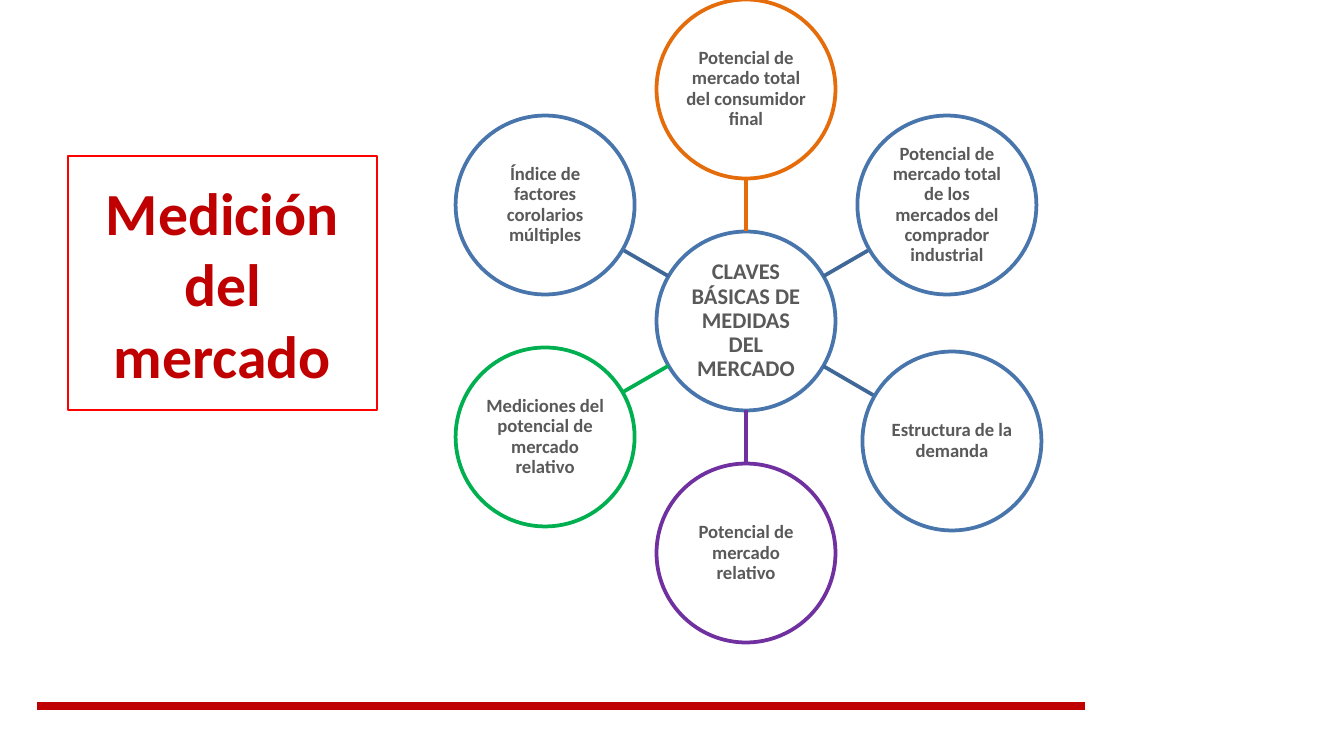
import math
from dataclasses import dataclass

from lxml import etree
from pptx import Presentation
from pptx import util as u
from pptx.dml import color
from pptx.enum import shapes, text
from pptx.oxml import ns

EMU_PER_PX = 914400 / 134.4
SLIDE_WIDTH, SLIDE_HEIGHT = 1344, 756
HUB_X, HUB_Y = 746, 321
DIAMETER = 179
RING_RADIUS = 232


@dataclass(frozen=True)
class Theme:
    font: str = "Calibri"
    ink: str = "595959"
    red: str = "C00000"
    frame: str = "FF0000"
    paper: str = "FFFFFF"
    blue: str = "4875AC"
    spoke_blue: str = "3F6797"
    orange: str = "E46C0A"
    purple: str = "7030A0"
    green: str = "00B050"
    title_size: int = 32
    hub_size: int = 12
    node_size: int = 10


def px(length):
    return u.Emu(round(length * EMU_PER_PX))


def rgb(value):
    return color.RGBColor.from_string(value)


class SlideBuilder:
    def __init__(self, slide, theme):
        self.slide = slide
        self.theme = theme

    def label(self, shape, wording, size, ink):
        frame = shape.text_frame
        frame.text = wording
        frame.word_wrap = True
        frame.auto_size = text.MSO_AUTO_SIZE.NONE
        frame.vertical_anchor = text.MSO_ANCHOR.MIDDLE
        paragraph = frame.paragraphs[0]
        paragraph.alignment = text.PP_ALIGN.CENTER
        font = paragraph.runs[0].font
        font.name, font.size, font.bold = self.theme.font, u.Pt(size), True
        font.color.rgb = rgb(ink)

    def outline(self, shape, colour, width):
        shape.line.color.rgb = rgb(colour)
        shape.line.width = u.Pt(width)

    def title(self, wording, left, top, width, height):
        title = self.slide.shapes.title
        title.left, title.top = px(left), px(top)
        title.width, title.height = px(width), px(height)
        self.outline(title, self.theme.frame, 0.75)
        self.label(title, wording, self.theme.title_size, self.theme.red)

    def circle(self, wording, centre, colour, size):
        left, top = (px(value - DIAMETER / 2) for value in centre)
        circle = self.slide.shapes.add_shape(
            shapes.MSO_SHAPE.OVAL, left, top, px(DIAMETER), px(DIAMETER))
        circle.shadow.inherit = False
        circle.fill.solid()
        circle.fill.fore_color.rgb = rgb(self.theme.paper)
        self.outline(circle, colour, 2)
        self.label(circle, wording, size, self.theme.ink)
        frame = circle.text_frame
        frame.margin_left = frame.margin_right = px(1)
        frame.margin_top = frame.margin_bottom = px(1)
        frame.paragraphs[0].line_spacing = 0.9

    def line(self, start, end, colour, width):
        connector = self.slide.shapes.add_connector(
            shapes.MSO_CONNECTOR.STRAIGHT, *map(px, (*start, *end)))
        self.outline(connector, colour, width)
        etree.SubElement(connector._element.spPr, ns.qn("a:effectLst"))

    def spoke(self, centre, colour):
        """Join the rim of the hub to the rim of the circle at centre."""
        across, down = centre[0] - HUB_X, centre[1] - HUB_Y
        reach = DIAMETER / 2 / math.hypot(across, down)
        self.line((HUB_X + across * reach, HUB_Y + down * reach),
                  (centre[0] - across * reach, centre[1] - down * reach),
                  colour, 2)


def main():
    presentation = Presentation()
    presentation.slide_width = px(SLIDE_WIDTH)
    presentation.slide_height = px(SLIDE_HEIGHT)
    theme = Theme()
    slide = presentation.slides.add_slide(presentation.slide_layouts[5])
    builder = SlideBuilder(slide, theme)

    builder.title("Medición del mercado", 68, 156, 309, 254)
    builder.circle("CLAVES BÁSICAS DE MEDIDAS DEL MERCADO",
                   (HUB_X, HUB_Y), theme.blue, theme.hub_size)

    # Clockwise from the top: wording, rim, spoke, nudge off the ring
    nodes = [
        ("Potencial de mercado total del consumidor final",
         theme.orange, theme.orange, (0, 0)),
        ("Potencial de mercado total de los mercados del comprador industrial",
         theme.blue, theme.spoke_blue, (0, 0)),
        ("Estructura de la demanda", theme.blue, theme.spoke_blue, (5, 4)),
        ("Potencial de mercado relativo",
         theme.purple, theme.purple, (0, 0)),
        ("Mediciones del potencial de mercado relativo",
         theme.green, theme.green, (0, 0)),
        ("Índice de factores corolarios múltiples",
         theme.blue, theme.spoke_blue, (0, 0)),
    ]
    for index, (wording, rim, spoke, nudge) in enumerate(nodes):
        angle = math.tau * index / len(nodes)
        centre = (HUB_X + RING_RADIUS * math.sin(angle) + nudge[0],
                  HUB_Y - RING_RADIUS * math.cos(angle) + nudge[1])
        builder.spoke(centre, spoke)
        builder.circle(wording, centre, rim, theme.node_size)

    builder.line((37, 706), (1085, 706), theme.red, 4.5)
    presentation.save("out.pptx")


if __name__ == "__main__":
    main()
